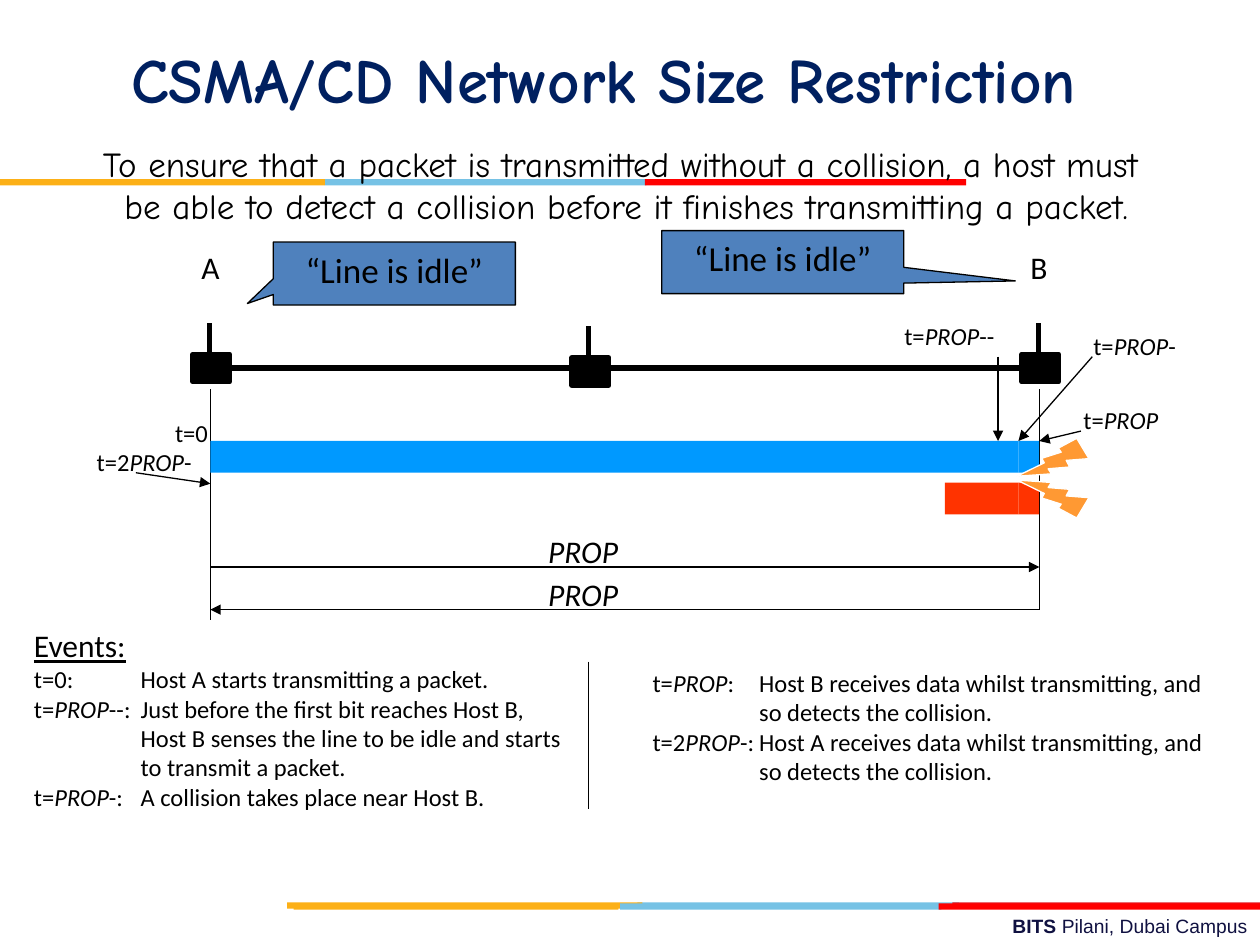
from lxml import etree
from pptx import Presentation
from pptx.dml.color import RGBColor
from pptx.enum.shapes import MSO_CONNECTOR, MSO_SHAPE
from pptx.enum.text import MSO_ANCHOR, MSO_AUTO_SIZE, PP_ALIGN
from pptx.oxml.ns import qn
from pptx.util import Cm, Pt

RECT = MSO_SHAPE.RECTANGLE
CALLOUT = MSO_SHAPE.RECTANGULAR_CALLOUT
BOLT = MSO_SHAPE.LIGHTNING_BOLT
STRAIGHT = MSO_CONNECTOR.STRAIGHT
TOP, MIDDLE = MSO_ANCHOR.TOP, MSO_ANCHOR.MIDDLE
LEFT, CENTER, RIGHT = PP_ALIGN.LEFT, PP_ALIGN.CENTER, PP_ALIGN.RIGHT
NO_FIT = MSO_AUTO_SIZE.NONE

COLORS = {
    "black": "000000", "white": "FFFFFF", "navy": "002060", "footer": "101141",
    "gold": "FCB017", "sky": "76C2E5", "crimson": "E31C24", "red": "FF0000",
    "packet_a": "0099FF", "packet_b": "FF3300", "callout": "4F81BD", "bolt": "FF9933",
}


def color(name):
    return RGBColor.from_string(COLORS[name])


def apply(target, values):
    for name, value in values.items():
        setattr(target, name, value)


class SlideStyle:
    font = "Calibri"
    thin = 0.75
    thick = 3

    def __init__(self, page):
        self.page = page

    def fill_para(self, para, text, size, ink="black", font=None, align=LEFT, marked="italic", **extra):
        para.alignment = align
        for row, line in enumerate(text.split("\v")):
            if row:
                para.add_line_break()
            for index, part in enumerate(line.split("*")):
                if not part:
                    continue
                span = para.add_run()
                span.text = part
                apply(span.font, {"name": font or self.font, "size": Pt(size), **extra})
                if index % 2:
                    setattr(span.font, marked, True)
                span.font.color.rgb = color(ink)

    def place(self, box, area):
        apply(box, dict(zip(("left", "top", "width", "height"), map(Cm, area))))

    def title(self, text, area):
        box = self.page.shapes.title
        self.place(box, area)
        apply(box.text_frame, {"vertical_anchor": MIDDLE, "auto_size": NO_FIT})
        self.fill_para(box.text_frame.paragraphs[0], text, 36, "navy", "Comic Neue", CENTER, bold=True)

    def events(self, index, area, rows, heading=None, indent=2.15):
        box = self.page.placeholders[index]
        self.place(box, area)
        frame = box.text_frame
        apply(frame, {"vertical_anchor": TOP, "auto_size": NO_FIT, "word_wrap": True})
        lines = ([heading] if heading else []) + rows
        for number, line in enumerate(lines):
            para = frame.add_paragraph() if number else frame.paragraphs[0]
            is_heading = line == heading
            margin = Cm(0 if is_heading else indent)
            props = para._p.get_or_add_pPr()
            props.set("marL", str(margin))
            props.set("indent", str(-margin))
            etree.SubElement(props, qn("a:buNone"))
            if not is_heading:
                tabs = etree.SubElement(props, qn("a:tabLst"))
                etree.SubElement(tabs, qn("a:tab"), pos=str(margin), algn="l")
            para.space_before = Pt(0)
            self.fill_para(para, line, 18 if is_heading else 14, underline=is_heading)

    def label(self, text, area, size=14, wrap=False, **style):
        box = self.page.shapes.add_textbox(*map(Cm, area))
        box.text_frame.word_wrap = wrap
        self.fill_para(box.text_frame.paragraphs[0], text, size, **style)

    def shape(self, kind, area, fill, line=None, width=thin):
        box = self.page.shapes.add_shape(kind, *map(Cm, area))
        box.shadow.inherit = False
        box.fill.solid()
        box.fill.fore_color.rgb = color(fill)
        if line:
            box.line.color.rgb = color(line)
            box.line.width = Pt(width)
        else:
            box.line.fill.background()
        return box

    def callout(self, text, area, tip):
        box = self.shape(CALLOUT, area, "callout", "black")
        box.adjustments[0], box.adjustments[1] = tip
        box.text_frame.vertical_anchor = TOP
        self.fill_para(box.text_frame.paragraphs[0], text, 20, align=CENTER)

    def bolt(self, top, rotation, flips):
        box = self.shape(BOLT, (20.75, top, 1.07, 1.27), "bolt", "white")
        box.rotation = rotation
        for flip in flips:
            box._element.spPr.find(qn("a:xfrm")).set(flip, "1")

    def line(self, start, end, width=thin, arrow=False):
        link = self.page.shapes.add_connector(STRAIGHT, *map(Cm, start + end))
        link.line.color.rgb = color("black")
        link.line.width = Pt(width)
        if arrow:
            outline = link.line._get_or_add_ln()
            etree.SubElement(outline, qn("a:tailEnd"), type="triangle")
        etree.SubElement(link._element.spPr, qn("a:effectLst"))

    def host(self, left, top):
        self.shape(RECT, (left, top, 0.74, 0.56), "black", "black", self.thick)
        self.line((left + 0.33, top), (left + 0.33, top - 0.63), self.thick)


def main():
    deck = Presentation()
    deck.slide_width, deck.slide_height = Cm(25.4), Cm(19.05)
    style = SlideStyle(deck.slides.add_slide(deck.slide_layouts[3]))

    style.label("*BITS *Pilani, Dubai Campus", (9.09, 18.31, 16.31, 0.74), 11, wrap=True,
                ink="footer", font="Arial", align=RIGHT, marked="bold")
    stripes = [
        (18.19, [(12.85, 6.48, "sky"), (19.2, 6.2, "crimson"), (5.79, 7.16, "gold")]),
        (18.21, [(12.5, 6.48, "sky"), (5.92, 6.55, "gold"), (18.92, 6.48, "red")]),
        (3.61, [(6.55, 6.48, "sky"), (0, 6.55, "gold"), (13, 6.48, "red")]),
    ]
    for top, bars in stripes:
        for left, width, fill in bars:
            style.shape(RECT, (left, top, width, 0.13), fill)

    style.title("CSMA/CD Network Size Restriction", (0, 0.2, 24.33, 2.74))
    style.label("To ensure that a packet is transmitted without a collision, a host must \v"
                "be able to detect a collision before it finishes transmitting a packet.",
                (0.71, 2.74, 23.85, 1.96), 20, font="Comic Neue", align=CENTER)

    x_a, x_b = 4.24, 20.95
    style.line((4.01, 7.42), (21.39, 7.42), style.thick)
    for left, top in ((11.53, 7.21), (3.89, 7.14), (20.6, 7.14)):
        style.host(left, top)
    style.label("A", (3.81, 4.88, 0.97, 1.02), 18)
    style.label("B", (20.52, 4.88, 0.94, 1.02), 18)

    style.line((x_a, 7.85), (x_a, 12.5))
    style.line((x_b, 7.85), (x_b, 12.29))
    style.line((11.86, 13.34), (11.86, 16.31))

    cuts = (20.12, 20.53, x_b)
    for start, top, fill in ((x_a, 8.89, "packet_a"), (19.05, 9.73, "packet_b")):
        for left, right in zip((start,) + cuts, cuts):
            style.shape(RECT, (left, top, right - left, 0.64), fill)

    for top, start, end in ((11.43, x_a, x_b), (12.29, x_b, x_a)):
        style.label("*PROP*", (10.8, top - 0.83, 2.13, 1.02), 18)
        style.line((start, top), (end, top), arrow=True)

    style.label("t=0", (3.28, 8.31, 1.17, 0.84))
    moments = [
        ("t=*PROP*--", (17.98, 6.35, 2.51), (20.12, 7.19), (20.12, 8.89)),
        ("t=*PROP*", (21.59, 8.05, 2.18), (21.79, 8.69), (x_b, 8.89)),
        ("t=2*PROP*-", (1.7, 8.89, 2.59), (2.74, 9.53), (x_a, 9.75)),
        ("t=*PROP*-", (21.79, 6.55, 2.34), (22.02, 7.19), (20.53, 8.89)),
    ]
    for text, area, start, end in moments:
        style.label(text, area + (0.84,))
        style.line(start, end, arrow=True)

    style.bolt(8.69, 30.5, ["flipH"])
    style.bolt(9.32, 329.5, ["flipH", "flipV"])
    for left, top, tip in ((5.51, 4.88, (-0.607, 0.476)), (13.34, 4.65, (0.961, 0.299))):
        style.callout("“Line is idle”", (left, top, 4.88, 1.27), tip)

    style.events(1, (0.43, 12.5, 11.46, 3.96), [
        "t=0:\tHost A starts transmitting a packet.",
        "t=*PROP*--:\tJust before the first bit reaches Host B,\v"
        "Host B senses the line to be idle and starts\vto transmit a packet.",
        "t=*PROP*-:\tA collision takes place near Host B.",
    ], heading="Events:")
    style.events(2, (12.9, 13.34, 11.89, 2.62), [
        "t=*PROP*:\tHost B receives data whilst transmitting, and\vso detects the collision.",
        "t=2*PROP*-:\tHost A receives data whilst transmitting, and\vso detects the collision.",
    ])

    deck.save("out.pptx")


if __name__ == "__main__":
    main()
